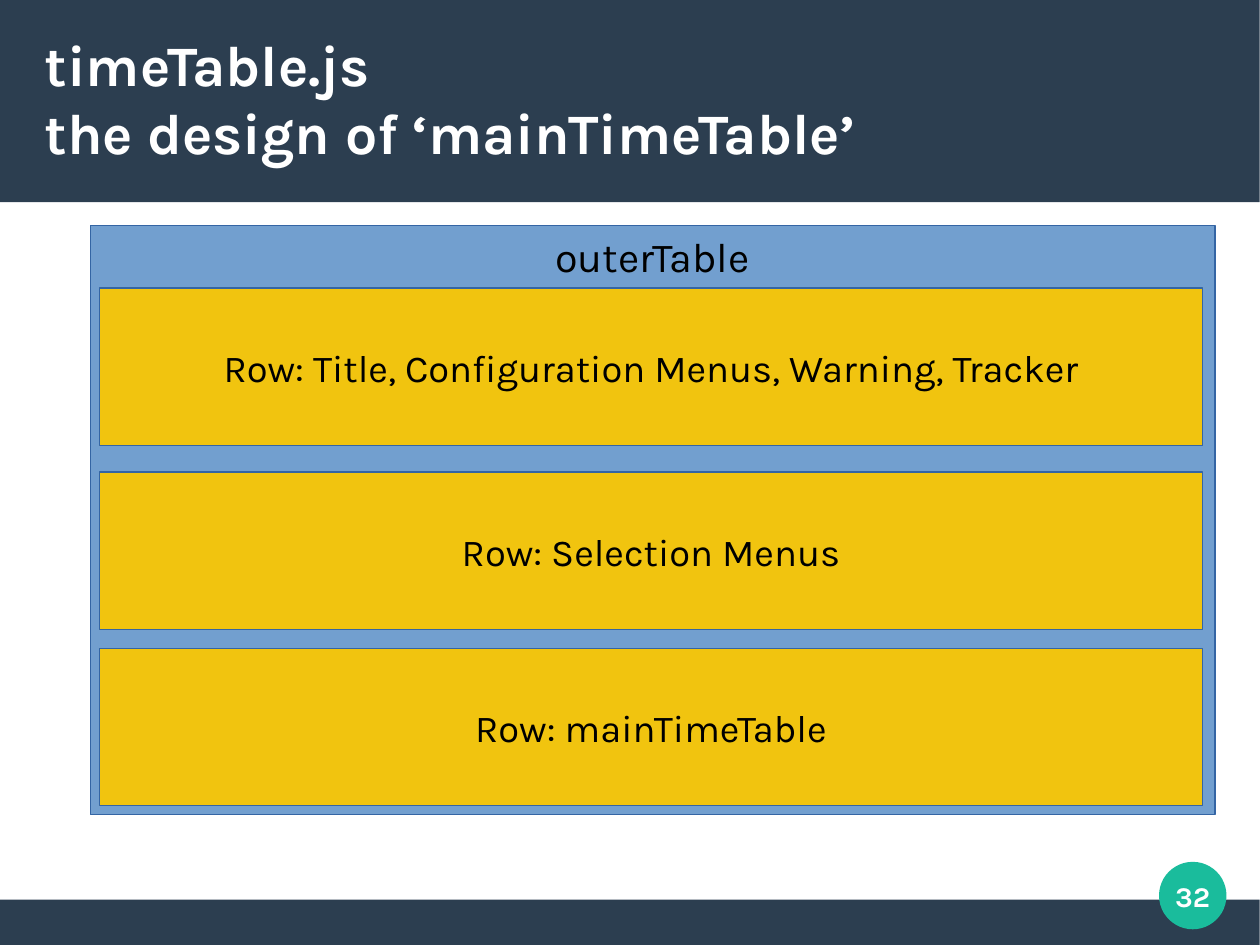
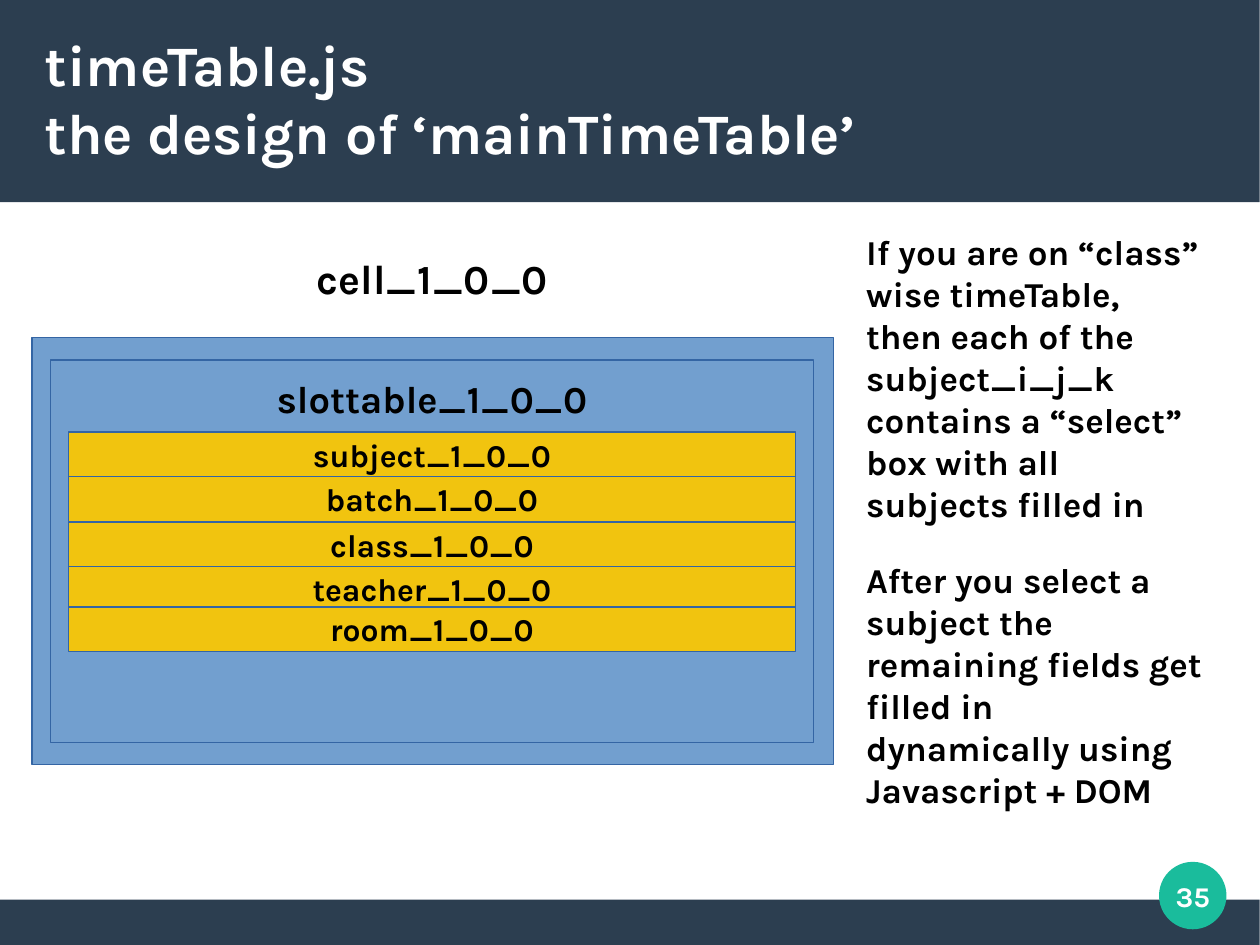
from pptx import Presentation
from pptx.dml.color import RGBColor
from pptx.enum.shapes import MSO_SHAPE as Preset
from pptx.enum.text import MSO_ANCHOR as Anchor, MSO_AUTO_SIZE as AutoSize, PP_ALIGN as Align
from pptx.util import Cm, Inches, Pt

FONT = "Karla"
NAVY = RGBColor(0x2C, 0x3E, 0x50)
TEAL = RGBColor(0x1A, 0xBC, 0x9C)
BLUE = RGBColor(0x72, 0x9F, 0xCF)
EDGE = RGBColor(0x34, 0x65, 0xA4)
YELLOW = RGBColor(0xF1, 0xC4, 0x0F)
WHITE = RGBColor(0xFF, 0xFF, 0xFF)
BLACK = RGBColor(0, 0, 0)


def add_block(page, place, fill, edge=None, preset=Preset.RECTANGLE):
    """Add a filled shape without shadow, outlined with a hairline if edge is given."""
    block = page.shapes.add_shape(preset, *map(Inches, place))
    block.shadow.inherit = False
    block.fill.solid()
    block.fill.fore_color.rgb = fill
    if edge is None:
        block.line.fill.background()
    else:
        block.line.color.rgb = edge
        block.line.width = Pt(0)
    return block


def write(box, text, size, bold=True, color=BLACK, align=Align.CENTER, anchor=Anchor.MIDDLE):
    frame = box.text_frame
    frame.word_wrap = True
    frame.vertical_anchor = anchor
    frame.text = text
    for para in frame.paragraphs:
        para.alignment = align
        para.font.name = FONT
        para.font.size = Pt(size)
        para.font.bold = bold
        para.font.color.rgb = color
    return frame


deck = Presentation()
# The page is metric: 28 by 21 cm
deck.slide_width, deck.slide_height = Cm(28), Cm(21)
layout = deck.slide_layouts.get_by_name("Title Only")

# Shared look: title placeholder, two bands and the number disc live on the layout
layout_title = layout.placeholders[0]
layout_title.left, layout_title.top = Inches(0.39), Inches(0.33)
layout_title.width, layout_title.height = Inches(10.24), Inches(1.05)

rows_page, cell_page = [deck.slides.add_slide(layout) for _ in range(2)]
decorations = [
    add_block(rows_page, (0, 7.87, 11.02, 0.4), NAVY),
    add_block(rows_page, (0, 0, 11.02, 1.77), NAVY),
    add_block(rows_page, (10.14, 7.54, 0.59, 0.59), TEAL, preset=Preset.OVAL),
]
layout_tree = layout.shapes._spTree
for index, decoration in enumerate(decorations):
    element = decoration._element
    element.nvSpPr.cNvPr.set("id", str(20 + index))
    layout_tree.insert(2 + index, element)

for page, number in ((rows_page, "32"), (cell_page, "35")):
    title_frame = write(page.shapes.title, "timeTable.js\vthe design of ‘mainTimeTable’",
                        36, color=WHITE, align=Align.LEFT)
    number_box = page.shapes.add_textbox(*map(Inches, (10.04, 7.44, 0.79, 0.79)))
    number_frame = write(number_box, number, 18, color=WHITE)
    for frame in (title_frame, number_frame):
        frame.auto_size = AutoSize.NONE
        frame.margin_left = frame.margin_right = 0
        frame.margin_top = frame.margin_bottom = 0

# Rows of the outer table
outer_table = add_block(rows_page, (0.79, 1.97, 9.84, 5.16), BLUE, EDGE)
write(outer_table, "outerTable", 26, bold=False, anchor=Anchor.TOP).margin_top = Inches(0.05)
table_rows = (
    (2.52, "Row: Title, Configuration Menus, Warning, Tracker"),
    (4.13, "Row: Selection Menus"),
    (5.67, "Row: mainTimeTable"),
)
for top, label in table_rows:
    row = add_block(rows_page, (0.87, top, 9.65, 1.38), YELLOW, EDGE)
    write(row, label, 24, bold=False)

# One cell with its slot table
add_block(cell_page, (0.28, 2.95, 7.01, 3.74), BLUE, EDGE)
cell_label = cell_page.shapes.add_textbox(*map(Inches, (1.42, 2.17, 4.73, 0.59)))
write(cell_label, "cell_1_0_0", 26, anchor=Anchor.TOP)
slot_table = add_block(cell_page, (0.44, 3.15, 6.68, 3.35), BLUE, EDGE)
write(slot_table, "slottable_1_0_0", 24, anchor=Anchor.TOP).margin_top = Inches(0.13)
slot_rows = ((3.78, "subject"), (4.17, "batch"), (4.57, "class"), (4.96, "teacher"), (5.31, "room"))
for top, field in slot_rows:
    row = add_block(cell_page, (0.6, top, 6.36, 0.39), YELLOW, EDGE)
    write(row, f"{field}_1_0_0", 20)

explanation = "\n".join((
    "If you are on “class” wise timeTable, then each of the subject_i_j_k",
    "contains a “select” box with all subjects filled in",
    "After you select a subject the remaining fields get filled in dynamically "
    "using Javascript + DOM",
))
explanation_box = cell_page.shapes.add_textbox(*map(Inches, (7.48, 1.97, 3.15, 6.28)))
explanation_frame = write(explanation_box, explanation, 22, align=Align.LEFT, anchor=Anchor.TOP)
explanation_frame.paragraphs[-1].space_before = Pt(22)

deck.save("out.pptx")
